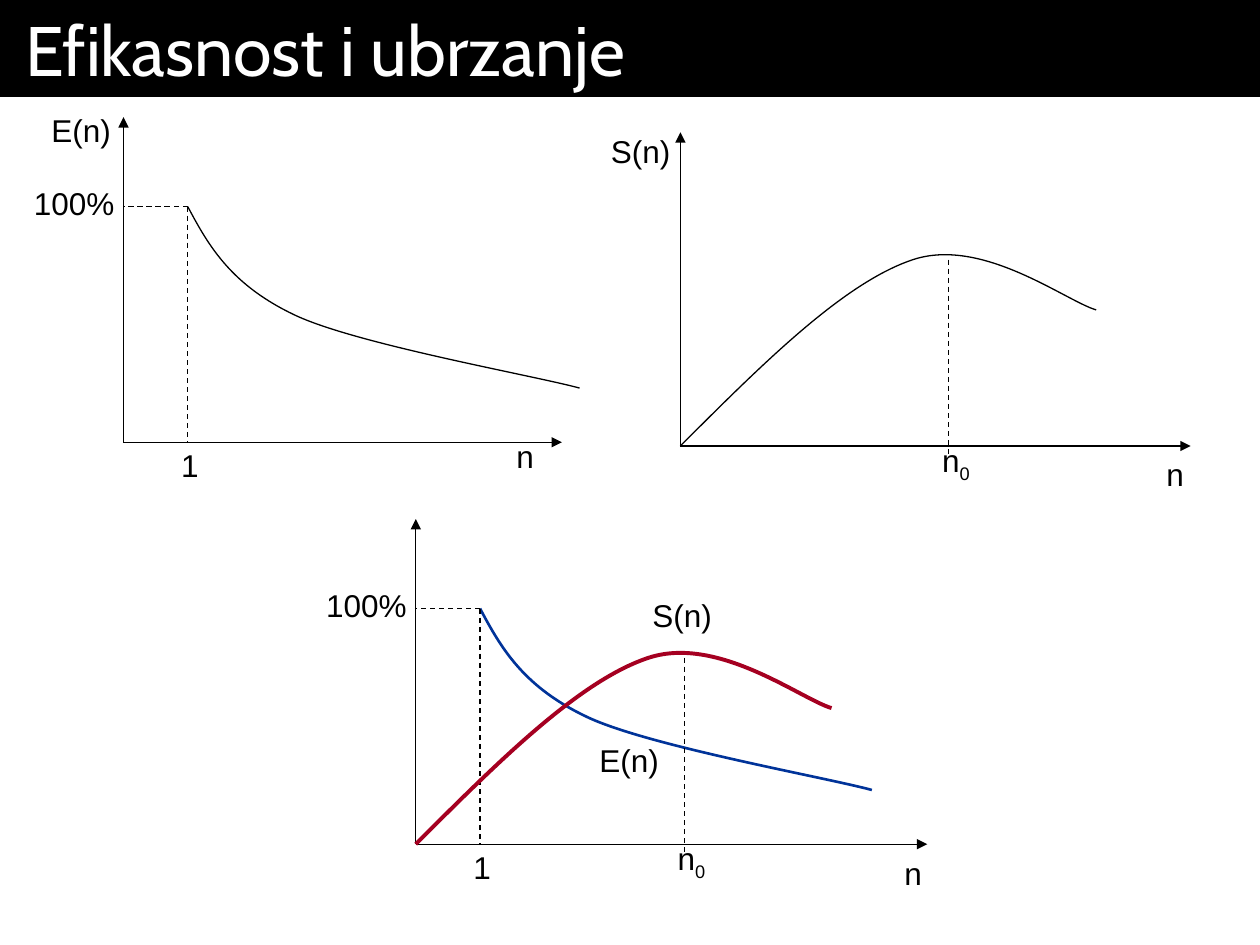
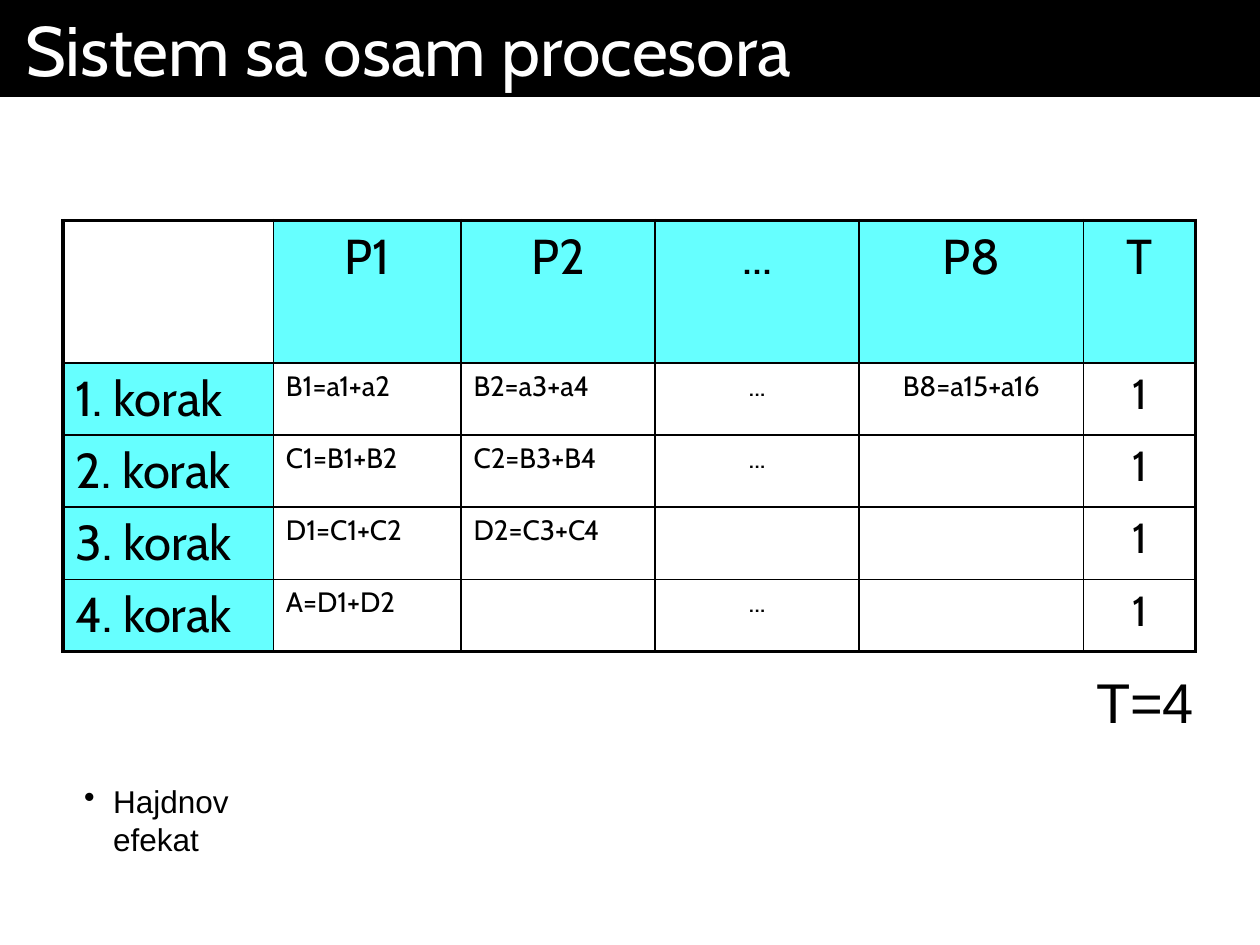
from lxml import etree
from pptx import Presentation
from pptx.dml.color import RGBColor
from pptx.enum.dml import MSO_LINE
from pptx.enum.shapes import MSO_CONNECTOR, MSO_SHAPE
from pptx.enum.text import MSO_ANCHOR, PP_ALIGN
from pptx.oxml.ns import qn
from pptx.util import Inches, Pt

RECTANGLE = MSO_SHAPE.RECTANGLE
STRAIGHT = MSO_CONNECTOR.STRAIGHT
DASH = MSO_LINE.DASH
LEFT, CENTER = PP_ALIGN.LEFT, PP_ALIGN.CENTER
TOP, MIDDLE, BOTTOM = MSO_ANCHOR.TOP, MSO_ANCHOR.MIDDLE, MSO_ANCHOR.BOTTOM

WIDTH, HEIGHT, BAND_HEIGHT = 10, 7.5, 0.77
BLACK, WHITE, CYAN, BLUE, RED = "000000", "FFFFFF", "66FFFF", "003399", "A50021"
TITLE_FONT, BODY_FONT = "Cabin", "Arial"

# Plots: points are (right, up) in inches from the origin of the axes
EFFICIENCY = {
    "curve": [(0.51, 1.87), (0.68, 1.55), (0.86, 1.24), (1.38, 1.0),
              (1.89, 0.77), (3.25, 0.53), (3.62, 0.43)],
    "guides": [((0.51, 1.87), (0.51, 0)), ((0.51, 1.87), (0, 1.87))],
    "labels": [("1", 0.36, 0.02), ("100%", -0.81, 2.1)],
}
SPEEDUP = {
    "curve": [(0, 0), (0.65, 0.65), (1.3, 1.3), (1.85, 1.48),
              (2.4, 1.66), (3.06, 1.15), (3.3, 1.08)],
    "guides": [((2.13, 1.48), (2.13, -0.07))],
    "labels": [("n0", 1.98, 0.05)],
}
# Each curve is (data, colour, line width)
PLOTS = [
    {"origin": (0.98, 3.51), "axes": (3.48, 2.58),
     "curves": [(EFFICIENCY, BLACK, 0.75)],
     "labels": [("E(n)", -0.67, 2.68), ("n", 3.02, 0.09)]},
    {"origin": (5.4, 3.54), "axes": (4.05, 2.49),
     "curves": [(SPEEDUP, BLACK, 0.75)],
     "labels": [("S(n)", -0.65, 2.54), ("n", 3.76, -0.02)]},
    {"origin": (3.3, 6.7), "axes": (4.06, 2.58),
     "curves": [(EFFICIENCY, BLUE, 1.5), (SPEEDUP, RED, 2.25)],
     "labels": [("E(n)", 1.36, 0.87), ("S(n)", 1.78, 2.02), ("n", 3.78, -0.03)]},
]
LABEL_WIDTHS = {"E(n)": 0.67, "S(n)": 0.67, "n": 0.34, "1": 0.34, "100%": 0.84, "n0": 0.43}

# Table of steps
STEPS = [
    ["", "P1", "P2", "...", "P8", "T"],
    ["1. korak", "B1=a1+a2", "B2=a3+a4", "...", "B8=a15+a16", "1"],
    ["2. korak", "C1=B1+B2", "C2=B3+B4", "...", "", "1"],
    ["3. korak", "D1=C1+C2", "D2=C3+C4", "", "", "1"],
    ["4. korak", "A=D1+D2", "", "...", "", "1"],
]
COLUMN_WIDTHS = [1.67, 1.49, 1.54, 1.62, 1.78, 0.89]
ROW_HEIGHTS = [1.13] + [0.57] * 4


def color(value):
    return RGBColor.from_string(value)


def style(paragraph, size, font=BODY_FONT, ink=BLACK, align=LEFT):
    paragraph.alignment = align
    paragraph.font.size = Pt(size)
    paragraph.font.name = font
    paragraph.font.color.rgb = color(ink)


def add_slide(presentation, title):
    slide = presentation.slides.add_slide(presentation.slide_layouts[6])
    band = slide.shapes.add_shape(RECTANGLE, 0, 0, Inches(WIDTH), Inches(BAND_HEIGHT))
    band.shadow.inherit = False
    band.fill.solid()
    band.fill.fore_color.rgb = color(BLACK)
    band.line.fill.background()
    frame = band.text_frame
    frame.margin_left = frame.margin_right = Inches(0.2)
    frame.vertical_anchor = MIDDLE
    frame.text = title
    style(frame.paragraphs[0], 40, TITLE_FONT, WHITE)
    return slide


def add_text(slide, left, top, width, height, anchor=BOTTOM, wrap=False):
    box = slide.shapes.add_textbox(*map(Inches, (left, top, width, height)))
    box.text_frame.word_wrap = wrap
    box.text_frame.vertical_anchor = anchor
    return box.text_frame.paragraphs[0]


def add_line(slide, start, end, arrow=False):
    line = slide.shapes.add_connector(STRAIGHT, *map(Inches, start + end))
    line.line.color.rgb = color(BLACK)
    line.line.width = Pt(0.75)
    if arrow:
        etree.SubElement(line.line._get_or_add_ln(), qn("a:tailEnd"), type="triangle")
    else:
        line.line.dash_style = DASH
    etree.SubElement(line._element.spPr, qn("a:effectLst"))


def add_curve(slide, points, ink, width):
    corners = [(Inches(x), Inches(y)) for x, y in points]
    builder = slide.shapes.build_freeform(*corners[0])
    builder.add_line_segments(corners[1:], close=False)
    shape = builder.convert_to_shape()
    shape.shadow.inherit = False
    shape.fill.background()
    shape.line.color.rgb = color(ink)
    shape.line.width = Pt(width)
    # Every three line segments become one Bézier segment
    outline = shape._element.spPr.find(".//" + qn("a:path"))
    segments = outline.findall(qn("a:lnTo"))
    for first in range(0, len(segments), 3):
        bezier = etree.SubElement(outline, qn("a:cubicBezTo"))
        for segment in segments[first:first + 3]:
            bezier.append(segment[0])
            outline.remove(segment)


def add_label(slide, text, left, top):
    paragraph = add_text(slide, left, top, LABEL_WIDTHS[text], 0.4)
    if text == "n0":
        paragraph.add_run().text = "n"
        subscript = paragraph.add_run()
        subscript.text = "0"
        subscript._r.get_or_add_rPr().set("baseline", "-25000")
    else:
        paragraph.text = text
    style(paragraph, 18)


def add_plot(slide, plot):
    left, base = plot["origin"]
    across, up = plot["axes"]

    def place(point):
        return left + point[0], base - point[1]

    for tip in ((across, 0), (0, up)):
        add_line(slide, place((0, 0)), place(tip), arrow=True)
    labels = list(plot["labels"])
    for data, ink, width in plot["curves"]:
        add_curve(slide, [place(point) for point in data["curve"]], ink, width)
        for start, end in data["guides"]:
            add_line(slide, place(start), place(end))
        labels += data["labels"]
    for text, *point in labels:
        add_label(slide, text, *place(point))


def set_borders(cell, widths):
    properties = cell._tc.get_or_add_tcPr()
    for index, (side, width) in enumerate(zip("LRTB", widths)):
        border = etree.Element(qn("a:ln" + side), w=str(Pt(width)))
        fill = etree.SubElement(border, qn("a:solidFill"))
        etree.SubElement(fill, qn("a:srgbClr"), val=BLACK)
        properties.insert(index, border)


def add_steps_table(slide):
    last_row, last_column = len(STEPS) - 1, len(COLUMN_WIDTHS) - 1
    table = slide.shapes.add_table(
        len(STEPS), len(COLUMN_WIDTHS), Inches(0.5), Inches(1.75),
        Inches(sum(COLUMN_WIDTHS)), Inches(sum(ROW_HEIGHTS))).table
    table.first_row = table.horz_banding = False
    for column, width in zip(table.columns, COLUMN_WIDTHS):
        column.width = Inches(width)
    for r, (row, texts) in enumerate(zip(table.rows, STEPS)):
        row.height = Inches(ROW_HEIGHTS[r])
        for c, text in enumerate(texts):
            cell = table.cell(r, c)
            heading = r == 0 or c == 0
            if heading and text:
                cell.fill.solid()
                cell.fill.fore_color.rgb = color(CYAN)
            else:
                cell.fill.background()
            outer = (c == 0, c == last_column, r == 0, r == last_row)
            set_borders(cell, [2.25 if edge else 1 for edge in outer])
            cell.text = text
            size = 28 if heading else 24 if c == last_column else 16
            align = CENTER if r == 0 or c >= 3 else LEFT
            style(cell.text_frame.paragraphs[0], size, TITLE_FONT, align=align)


def add_bullet(slide, text):
    paragraph = add_text(slide, 0.57, 6.16, 1.4, 0.7, wrap=True)
    paragraph.text = text
    properties = paragraph._p.get_or_add_pPr()
    properties.set("marL", str(Inches(0.23)))
    properties.set("indent", str(-Inches(0.23)))
    etree.SubElement(properties, qn("a:buChar"), char="•")
    style(paragraph, 18)


def main():
    presentation = Presentation()
    presentation.slide_width = Inches(WIDTH)
    presentation.slide_height = Inches(HEIGHT)

    # Efficiency and speedup plots
    slide = add_slide(presentation, "Efikasnost i ubrzanje")
    for plot in PLOTS:
        add_plot(slide, plot)

    # Eight-processor schedule
    slide = add_slide(presentation, "Sistem sa osam procesora")
    add_steps_table(slide)
    total = add_text(slide, 8.6, 5.25, 0.98, 0.63, anchor=TOP)
    total.text = "T=4"
    style(total, 32)
    add_bullet(slide, "Hajdnov efekat")

    presentation.save("out.pptx")


if __name__ == "__main__":
    main()
